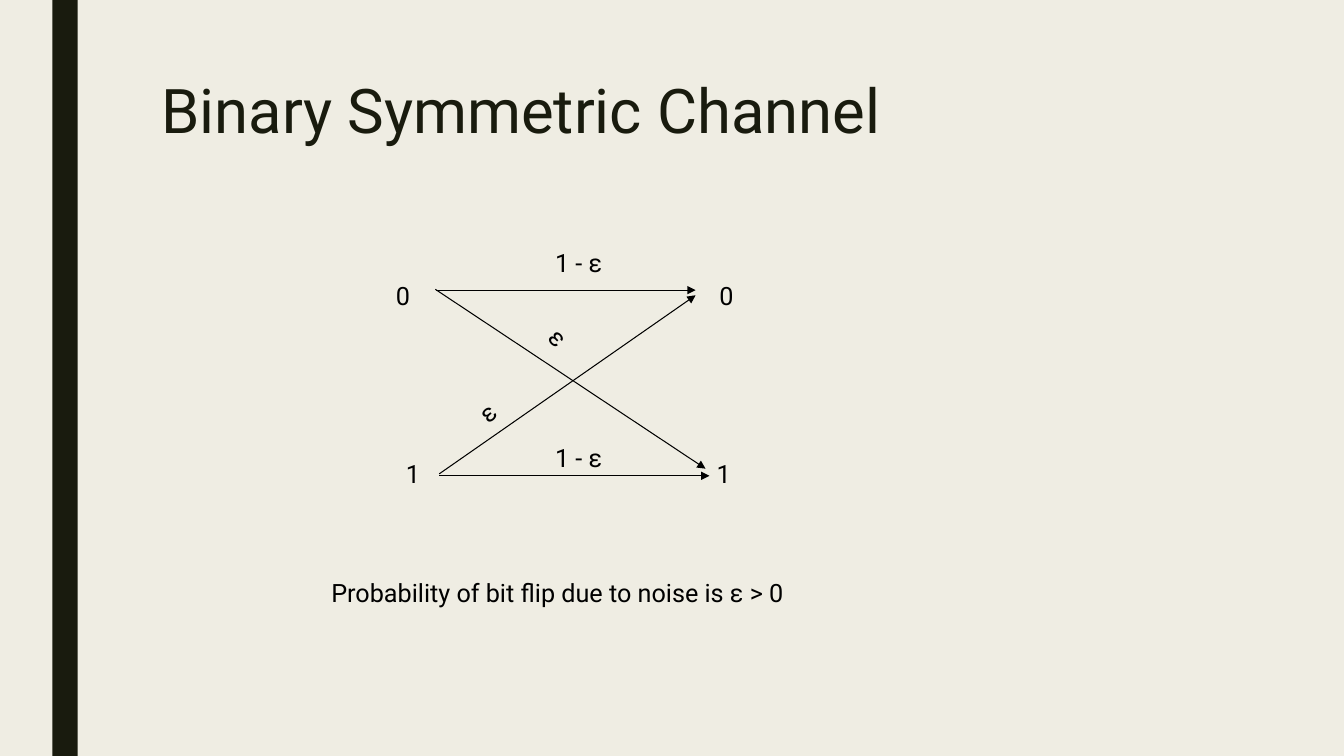
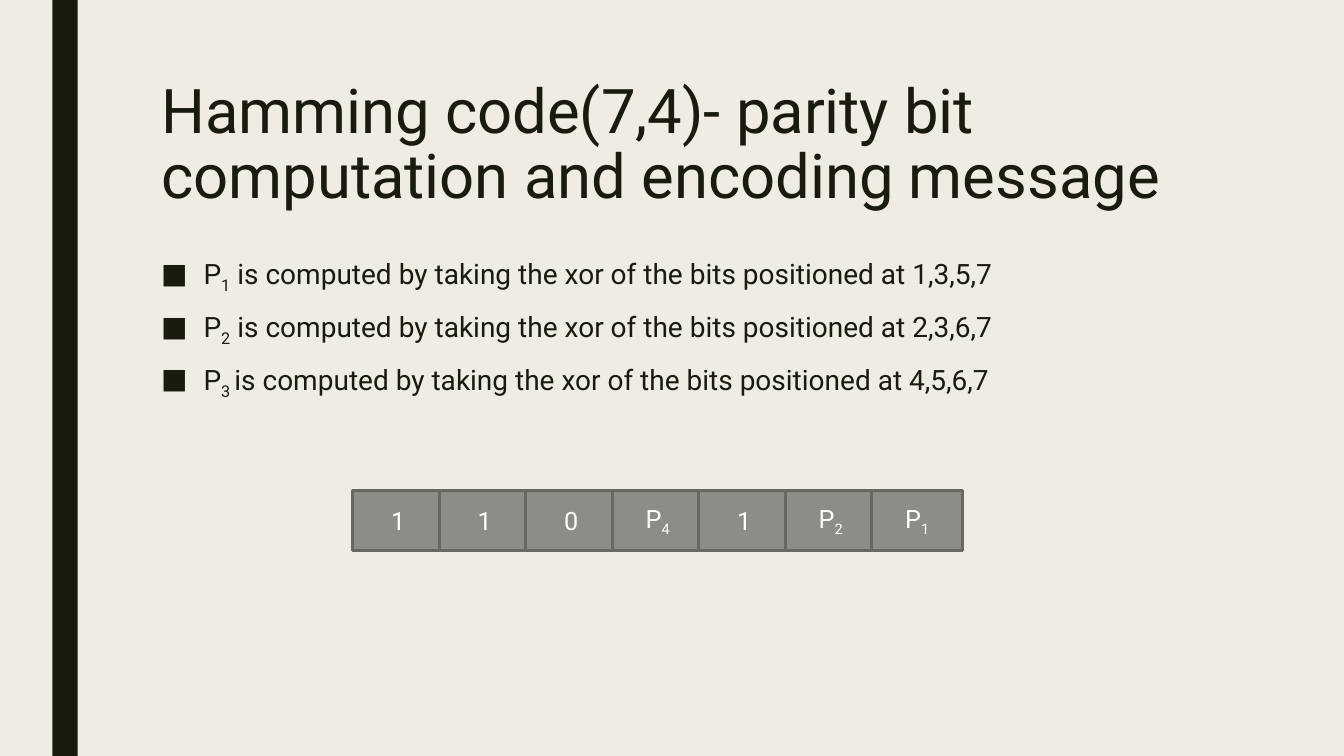
"""Build two slides on the binary symmetric channel and the Hamming code."""

from typing import NamedTuple

from lxml import etree
from pptx import Presentation
from pptx.dml.color import RGBColor
from pptx.enum.shapes import MSO_CONNECTOR, MSO_SHAPE
from pptx.enum.text import MSO_ANCHOR, MSO_AUTO_SIZE, PP_ALIGN
from pptx.oxml.ns import qn
from pptx.util import Cm, Pt

PAPER = RGBColor(0xEF, 0xED, 0xE3)
INK = RGBColor(0x19, 0x1B, 0x0E)
BLACK = RGBColor(0x00, 0x00, 0x00)
WHITE = RGBColor(0xFF, 0xFF, 0xFF)
CELL_FILL = RGBColor(0x8C, 0x8D, 0x86)
CELL_LINE = RGBColor(0x68, 0x68, 0x63)
FONT = "Roboto"

RECTANGLE = MSO_SHAPE.RECTANGLE
STRAIGHT = MSO_CONNECTOR.STRAIGHT
TOP, MIDDLE = MSO_ANCHOR.TOP, MSO_ANCHOR.MIDDLE
LEFT, CENTER = PP_ALIGN.LEFT, PP_ALIGN.CENTER
NO_AUTOFIT = MSO_AUTO_SIZE.NONE

CONTENT_LEFT, CONTENT_WIDTH = Cm(3.81), Cm(26.67)
LABEL_HEIGHT = Cm(1.02)
CELL_LEFT, CELL_TOP, CELL_PITCH = Cm(8.89), Cm(12.37), Cm(2.18)
CELL_WIDTH, CELL_HEIGHT = Cm(2.29), Cm(1.5)
BULLET_INDENT = Cm(1.07)


class Label(NamedTuple):
    """A text label placed in centimetres."""

    text: str
    left: float
    top: float
    width: float
    rotation: float = 0


class Arrow(NamedTuple):
    """An arrow from one point to another in centimetres."""

    start_x: float
    start_y: float
    end_x: float
    end_y: float


class Piece(NamedTuple):
    """A piece of text, lowered when it is a subscript."""

    text: str
    subscript: bool = False


LABELS = [
    Label("0", 9.73, 6.93, 0.89),
    Label("0", 17.88, 6.93, 1.17),
    Label("1", 9.98, 11.43, 0.66),
    Label("1", 17.81, 11.43, 0.66),
    Label("1 - ε", 13.74, 6.12, 2.41),
    Label("1 - ε", 13.74, 11.02, 2.41),
    Label("ε", 11.89, 9.96, 0.58, 319.2),
    Label("ε", 13.61, 8.1, 1.14, 46.1),
    Label("Probability of bit flip due to noise is ε > 0", 8.1, 14.43, 17.15),
]
ARROWS = [
    Arrow(11, 7.31, 17.53, 7.31),
    Arrow(11.07, 11.99, 17.88, 11.99),
    Arrow(10.97, 7.29, 17.78, 11.81),
    Arrow(11.07, 11.94, 17.53, 7.44),
]
RULE = "is computed by taking the xor of the bits positioned at "
PARITY_RULES = [
    [Piece("P"), Piece("1", True), Piece(f" {RULE}1,3,5,7")],
    [Piece("P"), Piece("2", True), Piece(f" {RULE}2,3,6,7")],
    [Piece("P"), Piece("3 ", True), Piece(f"{RULE}4,5,6,7")],
]
CODEWORD = [
    [Piece("1")],
    [Piece("1")],
    [Piece("0")],
    [Piece("P"), Piece("4", True)],
    [Piece("1")],
    [Piece("P"), Piece("2", True)],
    [Piece("P"), Piece("1", True)],
]


def set_font(paragraph, size: float, color: RGBColor) -> None:
    """Set the font of a whole paragraph."""
    font = paragraph.font
    font.name, font.size = FONT, Pt(size)
    font.color.rgb = color


def add_pieces(paragraph, pieces: list[Piece]) -> None:
    """Add one run for each piece of text."""
    for piece in pieces:
        run = paragraph.add_run()
        run.text = piece.text
        if piece.subscript:
            run._r.get_or_add_rPr().set("baseline", "-25000")


def add_box(slide, left: int, top: int, width: int, height: int, fill: RGBColor):
    """Add a flat rectangle without an outline."""
    shape = slide.shapes.add_shape(RECTANGLE, left, top, width, height)
    shape.shadow.inherit = False
    shape.fill.solid()
    shape.fill.fore_color.rgb = fill
    shape.line.fill.background()
    return shape


def add_titled_slide(presentation, title: str):
    """Add a slide with a formatted title."""
    slide = presentation.slides.add_slide(presentation.slide_layouts[5])
    shape = slide.shapes.title
    shape.left, shape.top = CONTENT_LEFT, Cm(1.9)
    shape.width, shape.height = CONTENT_WIDTH, Cm(4.11)
    frame = shape.text_frame
    frame.text = title
    frame.word_wrap = True
    frame.auto_size = NO_AUTOFIT
    frame.vertical_anchor = TOP
    paragraph = frame.paragraphs[0]
    paragraph.alignment = LEFT
    paragraph.line_spacing = 0.89
    set_font(paragraph, 44, INK)
    return slide


def add_label(slide, label: Label) -> None:
    """Add a black label."""
    shape = slide.shapes.add_textbox(
        Cm(label.left), Cm(label.top), Cm(label.width), LABEL_HEIGHT
    )
    shape.rotation = label.rotation
    frame = shape.text_frame
    frame.word_wrap = True
    frame.text = label.text
    set_font(frame.paragraphs[0], 18, BLACK)


def add_arrow(slide, arrow: Arrow) -> None:
    """Add a thin line that ends in a triangle."""
    connector = slide.shapes.add_connector(STRAIGHT, *map(Cm, arrow))
    connector.line.color.rgb = BLACK
    connector.line.width = Pt(0.75)
    properties = connector.element.find(qn("p:spPr"))
    etree.SubElement(properties.find(qn("a:ln")), qn("a:tailEnd"), type="triangle")
    etree.SubElement(properties, qn("a:effectLst"))


def add_bullet(paragraph) -> None:
    """Give a paragraph a square bullet and a hanging indent."""
    properties = paragraph._p.get_or_add_pPr()
    properties.set("marL", str(BULLET_INDENT))
    properties.set("indent", str(-BULLET_INDENT))
    color = etree.SubElement(properties, qn("a:buClr"))
    etree.SubElement(color, qn("a:srgbClr"), val=str(INK))
    etree.SubElement(properties, qn("a:buFont"), typeface=FONT)
    etree.SubElement(properties, qn("a:buChar"), char="■")


def add_parity_rules(slide) -> None:
    """Add the bulleted list of parity rules."""
    shape = slide.shapes.add_textbox(CONTENT_LEFT, Cm(6.35), CONTENT_WIDTH, Cm(9.96))
    frame = shape.text_frame
    frame.word_wrap = True
    for index, pieces in enumerate(PARITY_RULES):
        paragraph = frame.add_paragraph() if index else frame.paragraphs[0]
        add_bullet(paragraph)
        add_pieces(paragraph, pieces)
        paragraph.line_spacing = 0.94
        paragraph.space_before = Pt(10 if index else 0)
        paragraph.space_after = Pt(2)
        set_font(paragraph, 20, INK)


def add_codeword(slide) -> None:
    """Add the row of codeword cells."""
    for index, pieces in enumerate(CODEWORD):
        left = CELL_LEFT + index * CELL_PITCH
        cell = add_box(slide, left, CELL_TOP, CELL_WIDTH, CELL_HEIGHT, CELL_FILL)
        cell.line.color.rgb = CELL_LINE
        cell.line.width = Pt(2)
        cell.text_frame.vertical_anchor = MIDDLE
        paragraph = cell.text_frame.paragraphs[0]
        paragraph.alignment = CENTER
        add_pieces(paragraph, pieces)
        set_font(paragraph, 18, WHITE)


def main() -> None:
    """Build and save the presentation."""
    presentation = Presentation()
    presentation.slide_width, presentation.slide_height = Cm(33.87), Cm(19.05)
    master = presentation.slide_master
    master.background.fill.solid()
    master.background.fill.fore_color.rgb = PAPER

    channel = add_titled_slide(presentation, "Binary Symmetric Channel")
    band = add_box(channel, Cm(1.32), 0, Cm(0.64), presentation.slide_height, INK)
    master.shapes.element.insert(2, band.element)
    for arrow in ARROWS:
        add_arrow(channel, arrow)
    for label in LABELS:
        add_label(channel, label)

    hamming = add_titled_slide(
        presentation, "Hamming code(7,4)- parity bit computation and encoding message"
    )
    add_parity_rules(hamming)
    add_codeword(hamming)

    presentation.save("out.pptx")


if __name__ == "__main__":
    main()
